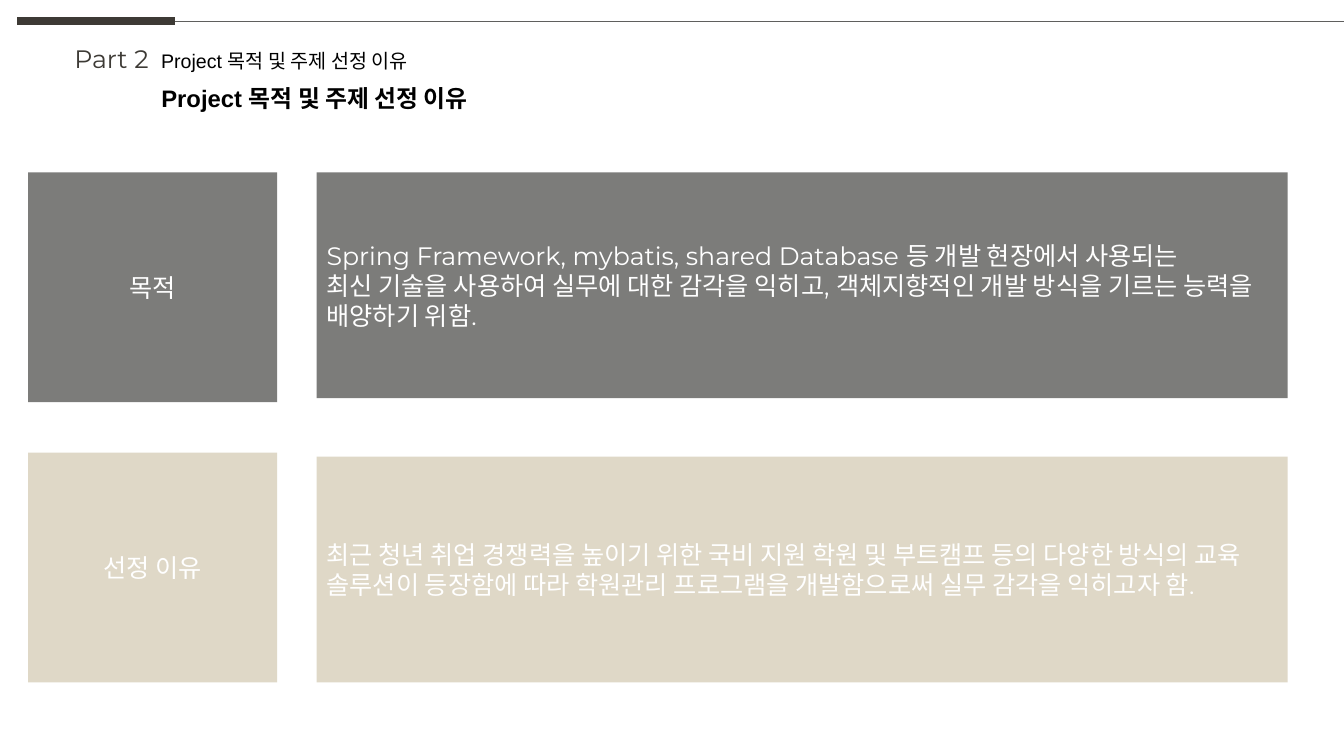
"""Build the project purpose and topic selection slide."""
from dataclasses import dataclass

from lxml import etree
from pptx import Presentation
from pptx.dml.color import RGBColor
from pptx.enum.shapes import MSO_CONNECTOR, MSO_SHAPE
from pptx.enum.text import MSO_ANCHOR, MSO_AUTO_SIZE, PP_ALIGN
from pptx.oxml.ns import qn
from pptx.slide import Slide
from pptx.text.text import TextFrame
from pptx.util import Inches, Pt

RECT, STRAIGHT = MSO_SHAPE.RECTANGLE, MSO_CONNECTOR.STRAIGHT
TOP, MIDDLE = MSO_ANCHOR.TOP, MSO_ANCHOR.MIDDLE
LEFT, CENTER = PP_ALIGN.LEFT, PP_ALIGN.CENTER
NO_FIT = MSO_AUTO_SIZE.NONE

BLACK = RGBColor(0x00, 0x00, 0x00)
WHITE = RGBColor(0xFF, 0xFF, 0xFF)
INK = RGBColor(0x3D, 0x3A, 0x35)
RULE_GRAY = RGBColor(0x5F, 0x5F, 0x5D)
GRAY = RGBColor(0x7C, 0x7C, 0x7A)
BEIGE = RGBColor(0xDF, 0xD8, 0xC7)

SLIDE_W, SLIDE_H = Inches(13.33), Inches(7.5)
HEADING = "Project 목적 및 주제 선정 이유"
HEADING_X, HEADING_W = 11.25, 31.96
LABEL_X, LABEL_W, LABEL_H = 2.1, 18.53, 30.4
PANEL_X, PANEL_W, PANEL_H = 23.56, 72.24, 29.87
RULE_Y, RULE_SPLIT = 2.8, 13.05


@dataclass(frozen=True)
class Box:
    """A rectangle in percent of the slide's width and height."""
    x: float
    y: float
    w: float
    h: float

    def emu(self) -> tuple[int, int, int, int]:
        """Return left, top, width and height in EMU."""
        return (across(self.x), down(self.y), across(self.w), down(self.h))


@dataclass(frozen=True)
class Style:
    """The look of a run of text."""
    size: float
    font: str = "Montserrat"
    color: RGBColor = WHITE
    bold: bool = False


@dataclass(frozen=True)
class Topic:
    """A label with the panel that explains it."""
    label: str
    lines: tuple[str, ...]
    fill: RGBColor
    label_y: float
    panel_y: float


@dataclass(frozen=True)
class Rule:
    """A horizontal stretch of the header line."""
    start: float
    end: float
    color: RGBColor
    weight: float


BODY = Style(18)
TOPICS = (
    Topic("목적", (
        "Spring Framework, mybatis, shared Database 등 개발 현장에서 사용되는",
        "최신 기술을 사용하여 실무에 대한 감각을 익히고, 객체지향적인 개발 방식을 기르는 능력을",
        "배양하기 위함.",
    ), GRAY, 22.8, 22.8),
    Topic("선정 이유", (
        "최근 청년 취업 경쟁력을 높이기 위한 국비 지원 학원 및 부트캠프 등의 다양한 방식의 교육 "
        "솔루션이 등장함에 따라 학원관리 프로그램을 개발함으로써 실무 감각을 익히고자 함.",
    ), BEIGE, 59.87, 60.4),
)
RULES = (
    Rule(1.28, RULE_SPLIT, INK, 6),
    Rule(RULE_SPLIT, 100, RULE_GRAY, 0.75),
)
CAPTIONS = (
    (Box(HEADING_X, 5.87, HEADING_W, 4.53), HEADING, Style(14, "Arial", BLACK)),
    (Box(4.8, 5.07, 8.25, 5.33), "Part 2", Style(18, color=INK)),
)


def across(percent: float) -> int:
    """Convert a share of the slide's width to EMU."""
    return round(SLIDE_W * percent / 100)


def down(percent: float) -> int:
    """Convert a share of the slide's height to EMU."""
    return round(SLIDE_H * percent / 100)


def write(tf: TextFrame, lines: tuple[str, ...], style: Style,
          align: PP_ALIGN = LEFT, anchor: MSO_ANCHOR = TOP) -> None:
    """Fill a text frame with one paragraph per line."""
    tf.word_wrap = True
    tf.auto_size = NO_FIT
    tf.vertical_anchor = anchor
    for i, line in enumerate(lines):
        p = tf.add_paragraph() if i else tf.paragraphs[0]
        p.alignment = align
        r = p.add_run()
        r.text = line
        r.font.size = Pt(style.size)
        r.font.name = style.font
        r.font.bold = style.bold
        r.font.color.rgb = style.color


def add_panel(s: Slide, box: Box, fill: RGBColor, lines: tuple[str, ...],
              align: PP_ALIGN) -> None:
    """Draw a filled rectangle with text centred vertically."""
    sp = s.shapes.add_shape(RECT, *box.emu())
    sp.shadow.inherit = False
    sp.fill.solid()
    sp.fill.fore_color.rgb = fill
    sp.line.fill.background()
    write(sp.text_frame, lines, BODY, align, MIDDLE)


def add_topic(s: Slide, topic: Topic) -> None:
    """Draw a topic's label and panel side by side."""
    label = Box(LABEL_X, topic.label_y, LABEL_W, LABEL_H)
    panel = Box(PANEL_X, topic.panel_y, PANEL_W, PANEL_H)
    add_panel(s, label, topic.fill, (topic.label,), CENTER)
    add_panel(s, panel, topic.fill, topic.lines, LEFT)


def add_rule(s: Slide, rule: Rule) -> None:
    """Draw one stretch of the header line."""
    y = down(RULE_Y)
    cx = s.shapes.add_connector(STRAIGHT, across(rule.start), y, across(rule.end), y)
    cx.line.color.rgb = rule.color
    cx.line.width = Pt(rule.weight)
    etree.SubElement(cx._element.spPr, qn("a:effectLst"))


def add_title(s: Slide) -> None:
    """Place and format the title placeholder."""
    sp = s.shapes.title
    box = Box(HEADING_X, 10.4, HEADING_W, 5.2)
    sp.left, sp.top, sp.width, sp.height = box.emu()
    write(sp.text_frame, (HEADING,), Style(17, "Arial", BLACK, True))


def main() -> None:
    """Build and save the presentation."""
    prs = Presentation()
    prs.slide_width, prs.slide_height = SLIDE_W, SLIDE_H
    s = prs.slides.add_slide(prs.slide_layouts.get_by_name("Title Only"))
    add_title(s)
    for topic in TOPICS:
        add_topic(s, topic)
    for rule in RULES:
        add_rule(s, rule)
    for box, text, style in CAPTIONS:
        write(s.shapes.add_textbox(*box.emu()).text_frame, (text,), style)
    prs.save("out.pptx")


main()
